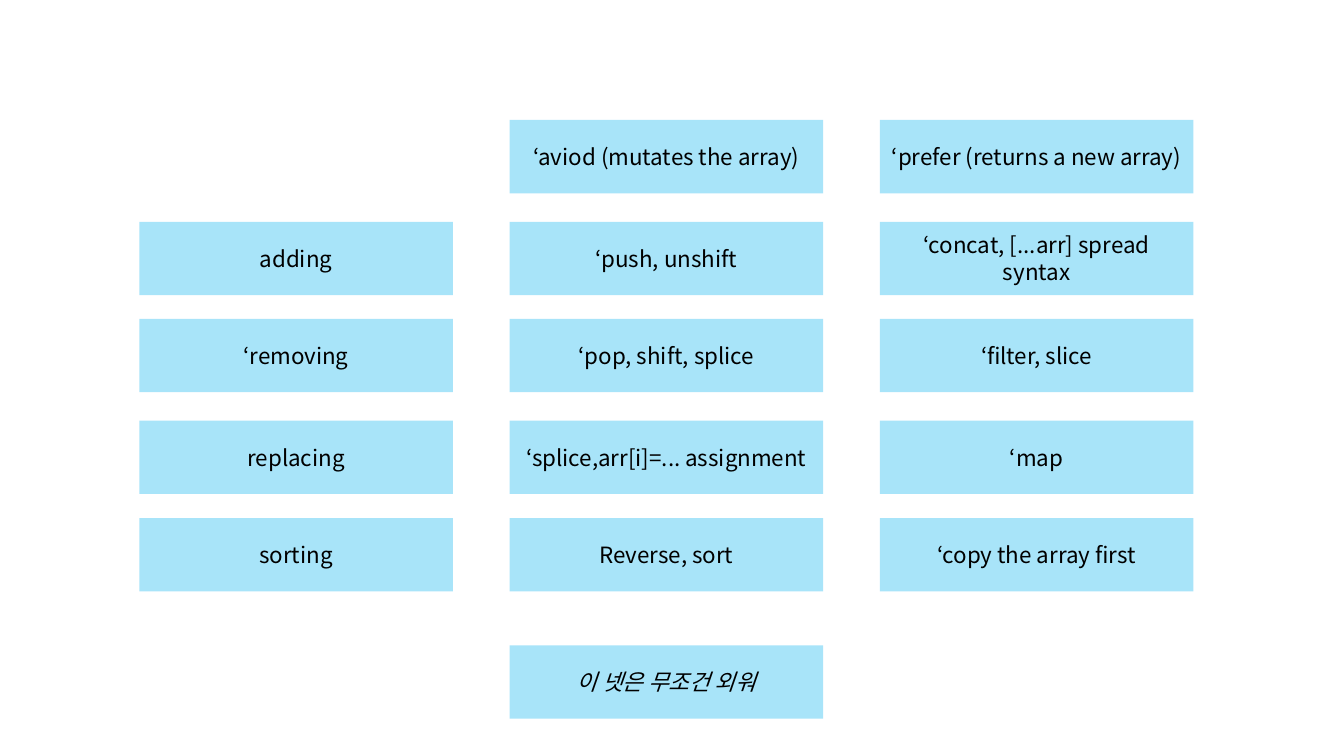
from lxml.etree import SubElement
from pptx import Presentation
from pptx.dml.color import RGBColor
from pptx.enum.shapes import MSO_SHAPE as Shape
from pptx.enum.text import MSO_ANCHOR as Anchor, PP_ALIGN as Align
from pptx.oxml.ns import qn
from pptx.util import Pt

SKY = RGBColor(0x00, 0xB0, 0xF0)
BLACK = RGBColor(0, 0, 0)
FONT = "Noto Sans CJK KR"

deck = Presentation()
deck.slide_width, deck.slide_height = Pt(960), Pt(540)
slide = deck.slides.add_slide(deck.slide_layouts[6])

rows = [
    (85.7, ["", "‘aviod (mutates the array)", "‘prefer (returns a new array)"]),
    (158.4, ["adding", "‘push, unshift", "‘concat, [...arr] spread syntax"]),
    (227.8, ["‘removing", "‘pop, shift, splice", "‘filter, slice"]),
    (300.4, ["replacing", "‘splice,arr[i]=... assignment", "‘map"]),
    (370, ["sorting", "Reverse, sort", "‘copy the array first"]),
    (460.9, ["", "이 넷은 무조건 외워", ""]),
]

for top, words in rows:
    for col, word in enumerate(words):
        if not word:
            continue
        left = 99.5 + 264.5 * col
        box = slide.shapes.add_shape(
            Shape.RECTANGLE, Pt(left), Pt(top), Pt(224), Pt(52.4))
        box.shadow.inherit = False
        box.line.fill.background()
        box.fill.solid()
        box.fill.fore_color.rgb = SKY
        tint = box.fill._xPr.find(qn("a:solidFill"))[0]
        SubElement(tint, qn("a:alpha"), val="34000")

        frame = box.text_frame
        frame.word_wrap = True
        frame.vertical_anchor = Anchor.MIDDLE
        para = frame.paragraphs[0]
        para.alignment = Align.CENTER
        run = para.add_run()
        run.text = word
        run.font.size = Pt(16)
        run.font.name = FONT
        run.font.color.rgb = BLACK
        if top > 400:
            run.font.italic = True
        SubElement(run.font._element, qn("a:ea"), typeface=FONT)

deck.save("out.pptx")
